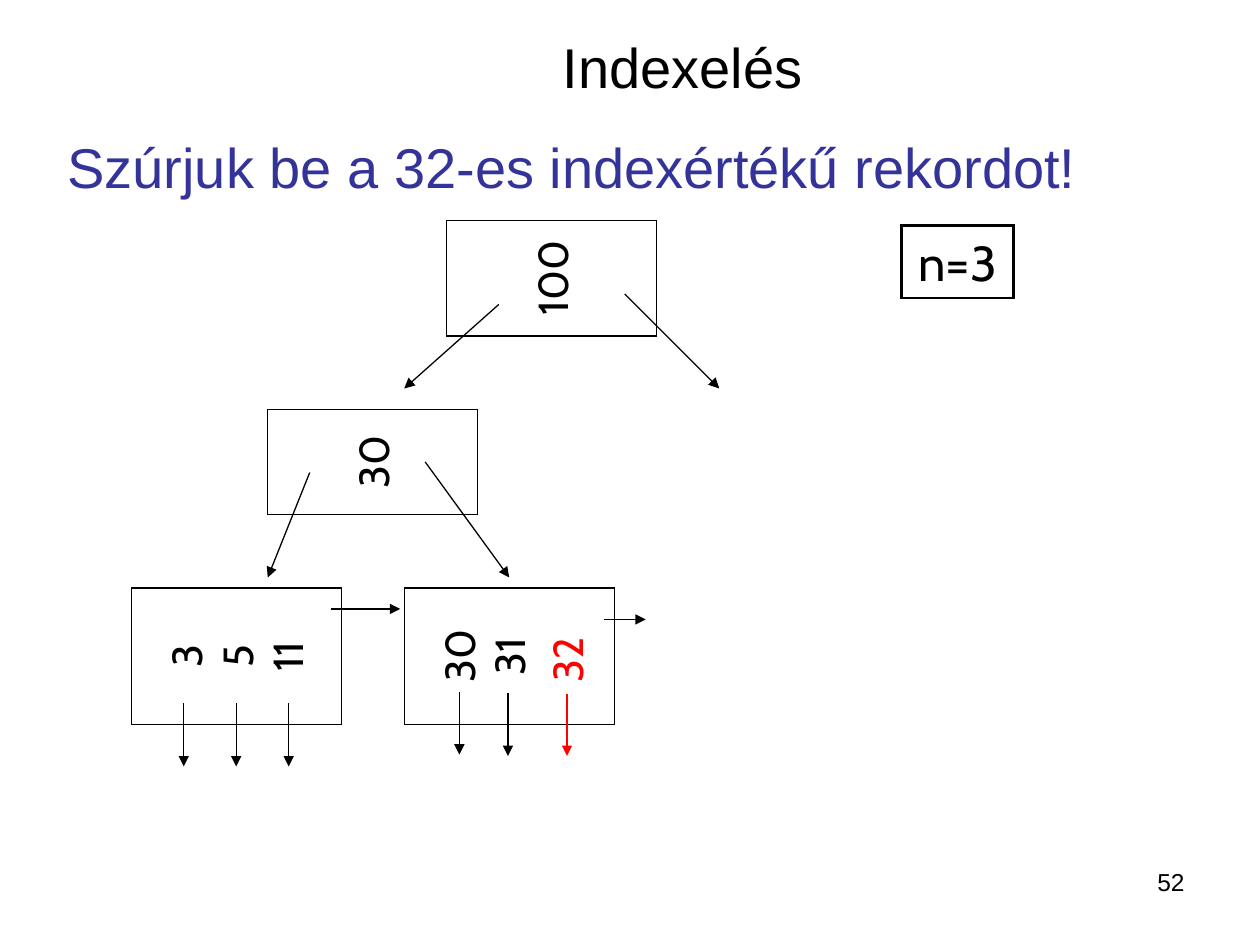
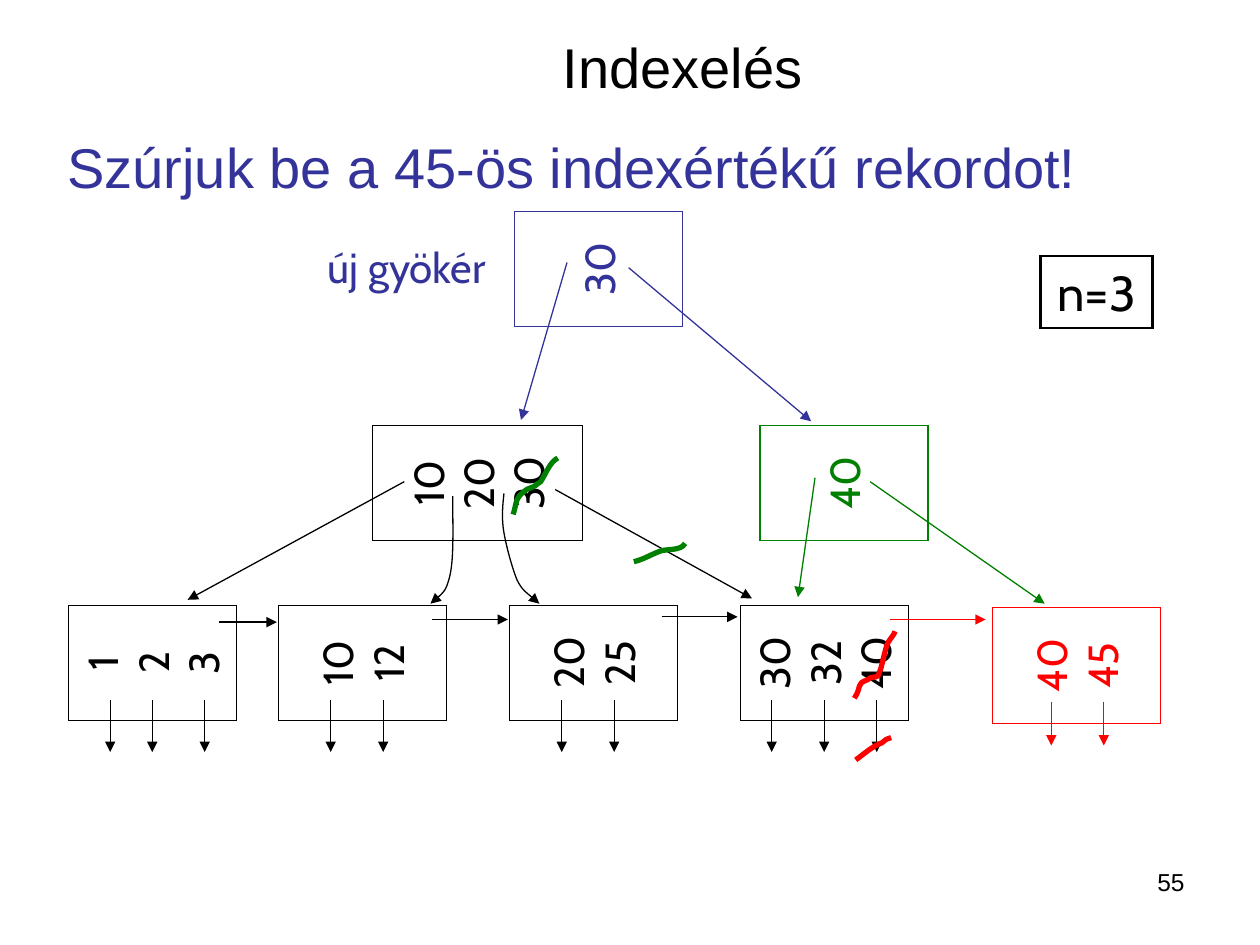
from typing import NamedTuple

from lxml.etree import SubElement
from pptx import Presentation
from pptx.dml.color import RGBColor
from pptx.enum.shapes import MSO_CONNECTOR, MSO_SHAPE
from pptx.enum.text import MSO_ANCHOR as Anchor, MSO_AUTO_SIZE, PP_ALIGN as Align
from pptx.oxml.ns import qn
from pptx.util import Emu, Pt

BLACK = RGBColor(0x00, 0x00, 0x00)
WHITE = RGBColor(0xFF, 0xFF, 0xFF)
INDIGO = RGBColor(0x33, 0x33, 0x99)
RED = RGBColor(0xFF, 0x00, 0x00)
GREEN = RGBColor(0x00, 0x80, 0x00)

TEXT_FONT = "Arial"
KEY_FONT = "Cabin"
EMU_PER_PX = 9525  # 96 px to the inch
KEY_LINE = 39  # height of one line of keys
INSET = 5
TITLE_ONLY = 5


class Node(NamedTuple):
    """A tree node whose keys read upwards; the box is given as it appears."""
    left: int
    top: int
    width: int
    height: int
    keys: list[str]
    color: RGBColor = BLACK
    free_slots: int = 0
    boxed: bool = True


class Arrow(NamedTuple):
    x1: int
    y1: int
    x2: int
    y2: int
    color: RGBColor = BLACK


class Curve(NamedTuple):
    """A start point followed by three points for each Bézier piece."""
    points: list[tuple[int, int]]
    color: RGBColor = BLACK
    weight: float = 0.75
    arrow: bool = False


class TreeSlide(NamedTuple):
    task: str
    number: str
    order_at: tuple[int, int]
    nodes: list[Node]
    arrows: list[Arrow]
    curves: list[Curve] = []
    root_label: str = ""


def px(value: float) -> Emu:
    return Emu(round(value * EMU_PER_PX))


def box(left: float, top: float, width: float, height: float) -> tuple:
    return px(left), px(top), px(width), px(height)


def write(shape, lines: list[str], *, size: float, font: str = TEXT_FONT,
          color: RGBColor = BLACK, align=Align.LEFT, anchor=Anchor.TOP,
          wrap: bool = True, free_slots: int = 0) -> None:
    frame = shape.text_frame
    frame.auto_size = MSO_AUTO_SIZE.NONE
    frame.word_wrap = wrap
    frame.vertical_anchor = anchor
    if free_slots:
        frame.margin_bottom = px(INSET + KEY_LINE * free_slots)
    for index, line in enumerate(lines):
        paragraph = frame.add_paragraph() if index else frame.paragraphs[0]
        paragraph.alignment = align
        run = paragraph.add_run()
        run.text = line
        run.font.name, run.font.size = font, Pt(size)
        run.font.color.rgb = color


def write_keys(shape, lines: list[str], *, size: float = 24,
               color: RGBColor = BLACK, free_slots: int = 0) -> None:
    write(shape, lines, size=size, font=KEY_FONT, color=color, align=Align.CENTER,
          anchor=Anchor.MIDDLE, wrap=False, free_slots=free_slots)


def set_line(shape, color: RGBColor, weight: float, arrow: bool = False) -> None:
    shape.line.color.rgb = color
    shape.line.width = Pt(weight)
    line = shape.line._get_or_add_ln()
    SubElement(line, qn("a:miter"), lim="800000")
    if arrow:
        SubElement(line, qn("a:tailEnd"), type="triangle")


def draw_node(slide, node: Node) -> None:
    # Turned a quarter left, so width and height swap around the centre
    shift = (node.width - node.height) / 2
    place = box(node.left + shift, node.top - shift, node.height, node.width)
    if node.boxed:
        shape = slide.shapes.add_shape(MSO_SHAPE.RECTANGLE, *place)
        shape.shadow.inherit = False
        shape.fill.solid()
        shape.fill.fore_color.rgb = WHITE
        set_line(shape, node.color, 0.75)
    else:
        shape = slide.shapes.add_textbox(*place)
    shape.rotation = 270
    write_keys(shape, node.keys, color=node.color, free_slots=node.free_slots)


def draw_arrow(slide, arrow: Arrow) -> None:
    ends = [px(value) for value in arrow[:4]]
    connector = slide.shapes.add_connector(MSO_CONNECTOR.STRAIGHT, *ends)
    set_line(connector, arrow.color, 0.75, arrow=True)
    SubElement(connector._element.spPr, qn("a:effectLst"))


def draw_curve(slide, curve: Curve) -> None:
    builder = slide.shapes.build_freeform(*curve.points[0], scale=EMU_PER_PX)
    builder.add_line_segments(curve.points[1:], close=False)
    shape = builder.convert_to_shape()
    # Every three straight segments become one Bézier piece
    segments = list(shape._element.iter(qn("a:lnTo")))
    outline = segments[0].getparent()
    for start in range(0, len(segments), 3):
        piece = SubElement(outline, qn("a:cubicBezTo"))
        for segment in segments[start:start + 3]:
            piece.append(segment[0])
            outline.remove(segment)
    shape.shadow.inherit = False
    shape.fill.background()
    set_line(shape, curve.color, curve.weight, curve.arrow)


def draw_order(slide, left: int, top: int) -> None:
    shape = slide.shapes.add_shape(MSO_SHAPE.RECTANGLE, *box(left, top, 85, 55))
    shape.shadow.inherit = False
    shape.fill.background()
    set_line(shape, BLACK, 1.5)
    write_keys(shape, ["n=3"], size=28)


def record_arrows(xs: list[int], top: int, bottom: int,
                  color: RGBColor = BLACK) -> list[Arrow]:
    return [Arrow(x, top, x, bottom, color) for x in xs]


def leaf_arrow(left: int, right: int, y: int, color: RGBColor = BLACK) -> Arrow:
    return Arrow(left, y, right, y, color)


def draw_slide(presentation, content: TreeSlide) -> None:
    slide = presentation.slides.add_slide(presentation.slide_layouts[TITLE_ONLY])
    shapes = slide.shapes

    # Title, task and page number
    title = shapes.title
    title.left, title.top, title.width, title.height = box(419, 20, 280, 61)
    write(title, ["Indexelés"], size=32)
    task = shapes.add_textbox(*box(42, 96, 816, 62))
    write(task, [content.task], size=32, color=INDIGO)
    number = shapes.add_textbox(*box(688, 656, 224, 50))
    write(number, [content.number], size=14, align=Align.RIGHT)

    # Tree
    draw_order(slide, *content.order_at)
    for node in content.nodes:
        draw_node(slide, node)
    for arrow in content.arrows:
        draw_arrow(slide, arrow)
    for curve in content.curves:
        draw_curve(slide, curve)
    if content.root_label:
        label = shapes.add_textbox(*box(230, 179, 160, 48))
        write_keys(label, [content.root_label], color=INDIGO)


INSERT_32 = TreeSlide(
    task="Szúrjuk be a 32-es indexértékű rekordot!",
    number="52",
    order_at=(687, 172),
    nodes=[
        Node(340, 168, 160, 88, ["100"]),
        Node(204, 312, 160, 80, ["30"]),
        Node(100, 448, 160, 104, ["3", "5", "11"]),
        Node(308, 448, 160, 104, ["30", "31"], free_slots=1),
        Node(408, 475, 48, 56, ["32"], RED, boxed=False),
    ],
    arrows=[
        Arrow(380, 232, 308, 296), Arrow(476, 224, 548, 296),
        Arrow(236, 360, 204, 440), Arrow(324, 352, 388, 440),
        leaf_arrow(252, 305, 464), leaf_arrow(460, 492, 472),
        *record_arrows([140, 180, 220], 536, 584),
        *record_arrows([350], 527, 575),
        *record_arrows([387], 528, 576),
        *record_arrows([432], 529, 576, RED),
    ],
)

LEAVES = [(52, ["1", "2", "3"]), (212, ["10", "12"]),
          (388, ["20", "25"]), (564, ["30", "32", "40"])]

INSERT_45 = TreeSlide(
    task="Szúrjuk be a 45-ös indexértékű rekordot!",
    number="55",
    order_at=(793, 195),
    root_label="új gyökér",
    nodes=[
        Node(392, 161, 128, 88, ["30"], INDIGO),
        Node(284, 324, 160, 88, ["10", "20", "30"]),
        Node(579, 324, 128, 88, ["40"], GREEN),
        *[Node(left, 461, 128, 88, keys) for left, keys in LEAVES],
        Node(756, 463, 128, 88, ["40", "45"], RED),
    ],
    arrows=[
        Arrow(432, 200, 397, 320, INDIGO), Arrow(479, 204, 618, 321, INDIGO),
        Arrow(308, 367, 143, 457), Arrow(423, 373, 573, 456),
        Arrow(621, 364, 608, 455, GREEN), Arrow(663, 367, 796, 460, GREEN),
        leaf_arrow(167, 211, 474), leaf_arrow(329, 387, 472),
        leaf_arrow(504, 562, 470), leaf_arrow(678, 751, 472, RED),
        *record_arrows([84, 116, 156, 252, 292, 428, 468, 588, 628, 668], 533, 573),
        *record_arrows([801, 841], 535, 568, RED),
    ],
    curves=[
        # Pointers to the middle leaves
        Curve([(345, 378), (345, 401), (346, 424), (343, 438),
               (340, 451), (334, 455), (328, 460)], arrow=True),
        Curve([(384, 376), (383, 385), (382, 395), (384, 406), (386, 417), (390, 432),
               (394, 442), (398, 450), (408, 457), (411, 460)], arrow=True),
        # Strokes through the removed keys and pointers
        Curve([(651, 532), (657, 523), (652, 521), (661, 518), (662, 517), (664, 516),
               (665, 516), (666, 516), (668, 516), (669, 515), (670, 514), (670, 511),
               (671, 510), (673, 503), (674, 497), (676, 491), (677, 488), (682, 483),
               (682, 481)], RED, 3),
        Curve([(652, 579), (659, 574), (664, 569), (672, 566),
               (677, 562), (674, 564), (679, 562)], RED, 3),
        Curve([(391, 392), (394, 383), (392, 380), (400, 374), (402, 372), (405, 372),
               (408, 370), (409, 369), (412, 367), (412, 367), (416, 361), (419, 352),
               (425, 349)], GREEN, 3),
        Curve([(483, 428), (491, 426), (495, 423), (503, 420),
               (508, 418), (519, 420), (522, 414)], GREEN, 3),
    ],
)


def main() -> None:
    presentation = Presentation()
    presentation.slide_width, presentation.slide_height = px(960), px(720)
    for content in (INSERT_32, INSERT_45):
        draw_slide(presentation, content)
    presentation.save("out.pptx")


if __name__ == "__main__":
    main()
